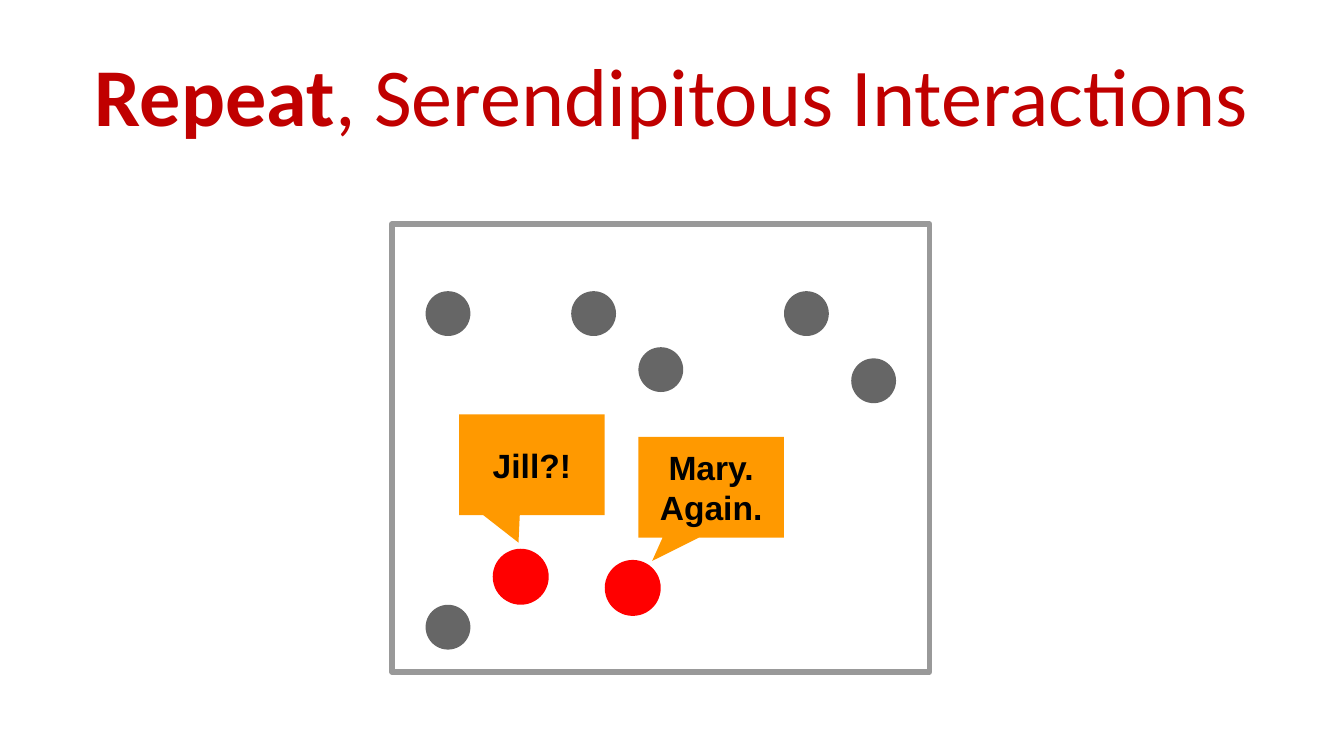
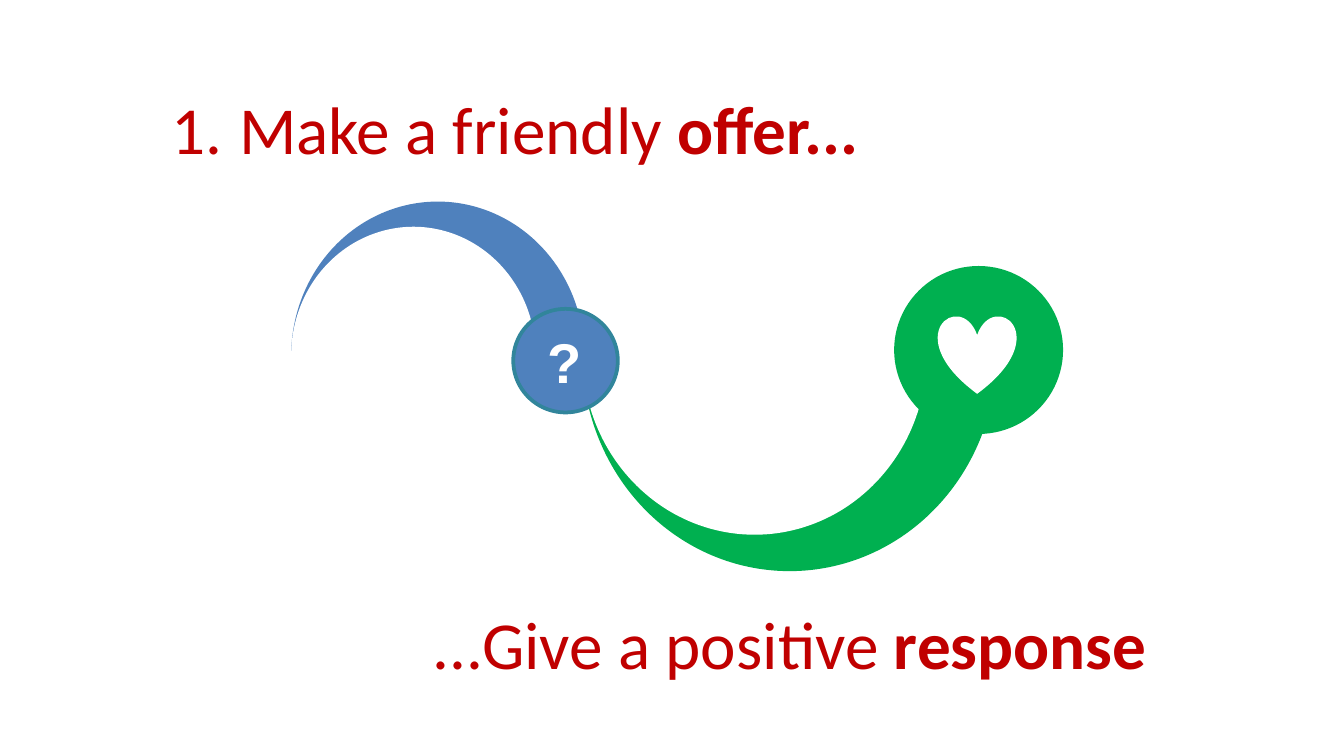
from dataclasses import dataclass

from pptx import Presentation
from pptx.dml.color import RGBColor
from pptx.enum.shapes import MSO_SHAPE
from pptx.enum.text import MSO_ANCHOR, MSO_AUTO_SIZE, PP_ALIGN
from pptx.oxml.ns import qn
from pptx.util import Pt
from lxml import etree

RECT, OVAL, HEART = MSO_SHAPE.RECTANGLE, MSO_SHAPE.OVAL, MSO_SHAPE.HEART
CALLOUT = MSO_SHAPE.ROUNDED_RECTANGULAR_CALLOUT
CENTER, LEFT = PP_ALIGN.CENTER, PP_ALIGN.LEFT
MIDDLE, NO_FIT = MSO_ANCHOR.MIDDLE, MSO_AUTO_SIZE.NONE

TITLE_RED = RGBColor(0xC0, 0x00, 0x00)
FRAME_GRAY = RGBColor(0x99, 0x99, 0x99)
DOT_GRAY = RGBColor(0x66, 0x66, 0x66)
RED = RGBColor(0xFF, 0x00, 0x00)
ORANGE = RGBColor(0xFF, 0x99, 0x00)
BLUE = RGBColor(0x4F, 0x81, 0xBD)
TEAL = RGBColor(0x31, 0x85, 0x9B)
GREEN = RGBColor(0x00, 0xB0, 0x50)
WHITE = RGBColor(0xFF, 0xFF, 0xFF)
BLACK = RGBColor(0x00, 0x00, 0x00)

HEADING_FONT, LABEL_FONT = "Calibri", "Arial"
INSET = 7.2


@dataclass(frozen=True)
class Box:
    left: float
    top: float
    width: float
    height: float

    def lengths(self) -> list:
        return [Pt(v) for v in (self.left, self.top, self.width, self.height)]


@dataclass(frozen=True)
class Figure:
    kind: int
    box: Box
    fill: RGBColor | None = None
    line: RGBColor | None = None
    line_width: float = 0


@dataclass(frozen=True)
class Callout:
    text: str
    left: float
    top: float
    tip: tuple[float, float]


def format_frame(tf, inset_y: float) -> None:
    """Give a text frame the shared margins and anchor."""
    values = {"word_wrap": True, "auto_size": NO_FIT, "vertical_anchor": MIDDLE,
              "margin_left": Pt(INSET), "margin_right": Pt(INSET),
              "margin_top": Pt(inset_y), "margin_bottom": Pt(inset_y)}
    for name, value in values.items():
        setattr(tf, name, value)


def add_run(p, text: str, font: str, size: float, color: RGBColor, bold: bool) -> None:
    r = p.add_run()
    r.text = text
    for name, value in {"name": font, "size": Pt(size), "bold": bold}.items():
        setattr(r.font, name, value)
    r.font.color.rgb = color


def add_label(s, text: str, size: float, color: RGBColor, align: int) -> None:
    format_frame(s.text_frame, INSET)
    p = s.text_frame.paragraphs[0]
    p.alignment = align
    add_run(p, text, LABEL_FONT, size, color, True)


def add_figure(slide, fig: Figure):
    s = slide.shapes.add_shape(fig.kind, *fig.box.lengths())
    s.shadow.inherit = False
    if fig.fill is None:
        s.fill.background()
    else:
        s.fill.solid()
        s.fill.fore_color.rgb = fig.fill
    if fig.line is None:
        s.line.fill.background()
    else:
        s.line.color.rgb = fig.line
        s.line.width = Pt(fig.line_width)
        etree.SubElement(s.line._get_or_add_ln(), qn("a:round"))
    return s


def number_paragraph(p) -> None:
    """Number a paragraph with a red hanging numeral."""
    pPr = p._p.get_or_add_pPr()
    pPr.set("marL", str(Pt(36)))
    pPr.set("indent", str(-Pt(36)))
    clr = etree.SubElement(pPr, qn("a:buClr"))
    etree.SubElement(clr, qn("a:srgbClr"), val=str(TITLE_RED))
    etree.SubElement(pPr, qn("a:buFont"), typeface=HEADING_FONT)
    etree.SubElement(pPr, qn("a:buAutoNum"), type="arabicPeriod")


def set_heading(slide, ph, box: Box, runs: list[tuple[str, bool]], size: float,
                inset_y: float, numbered: bool = False) -> None:
    """Place and fill a heading placeholder in front of the drawing."""
    ph.left, ph.top, ph.width, ph.height = box.lengths()
    format_frame(ph.text_frame, inset_y)
    p = ph.text_frame.paragraphs[0]
    p.alignment = CENTER
    p.space_before = Pt(0)
    if numbered:
        number_paragraph(p)
    for text, bold in runs:
        add_run(p, text, HEADING_FONT, size, TITLE_RED, bold)
    slide.shapes._spTree.append(ph._element)


# Room with people as dots
ROOM = Figure(RECT, Box(210, 120, 288, 240), None, FRAME_GRAY, 3)
STRANGERS = [(228, 156), (306, 156), (228, 324), (342, 186), (456, 192), (420, 156)]
FRIENDS = [(324, 300), (264, 294)]
CALLOUTS = [Callout("Mary. Again.", 342, 234, (-0.405, 0.732)),
            Callout("Jill?!", 246, 222, (-0.092, 0.772))]


def build_interactions(prs) -> None:
    slide = prs.slides.add_slide(prs.slide_layouts[5])
    add_figure(slide, ROOM)
    for spots, size, color in ((STRANGERS, 24, DOT_GRAY), (FRIENDS, 30, RED)):
        for x, y in spots:
            add_figure(slide, Figure(OVAL, Box(x, y, size, size), color))
    for c in CALLOUTS:
        s = add_figure(slide, Figure(CALLOUT, Box(c.left, c.top, 78, 54), ORANGE))
        for i, value in enumerate((*c.tip, 0)):
            s.adjustments[i] = value
        add_label(s, c.text, 18, BLACK, CENTER)
    set_heading(slide, slide.shapes.title, Box(36, 16.5, 648, 67.5),
                [("Repeat", True), (", Serendipitous Interactions", False)], 44, INSET)


# Each swoosh is a disc with a white half and a smaller white disc over it
SWOOSHES = [
    Figure(OVAL, Box(156, 108, 157, 165), BLUE),
    Figure(RECT, Box(156, 190, 157, 96.5), WHITE),
    Figure(OVAL, Box(156, 121.5, 131, 137.5), WHITE),
    Figure(OVAL, Box(312, 73.5, 222, 232.5), GREEN),
    Figure(RECT, Box(312, 54, 222, 135.5), WHITE),
    Figure(OVAL, Box(312, 93, 184.5, 193.5), WHITE),
]
BADGES = [
    Figure(OVAL, Box(275, 165.5, 56, 55.5), BLUE, TEAL, 2),
    Figure(OVAL, Box(479, 142.5, 90.5, 90), GREEN),
    Figure(HEART, Box(502.5, 169, 42, 42), WHITE),
]


def build_offer(prs) -> None:
    slide = prs.slides.add_slide(prs.slide_layouts[0])
    for fig in SWOOSHES + BADGES:
        add_figure(slide, fig)
    question = slide.shapes.add_textbox(*Box(286, 160.5, 48, 65.5).lengths())
    add_label(question, "?", 30, WHITE, LEFT)
    set_heading(slide, slide.shapes.title, Box(66, 34.5, 420, 67.5),
                [("Make a friendly", False), (" offer...", True)], 36, INSET / 2, True)
    set_heading(slide, slide.placeholders[1], Box(222, 310.5, 402, 67.5),
                [("...Give a positive ", False), ("response", True)], 36, INSET / 2)


def main() -> None:
    prs = Presentation()
    prs.slide_width, prs.slide_height = Pt(720), Pt(405)
    build_interactions(prs)
    build_offer(prs)
    prs.save("out.pptx")


if __name__ == "__main__":
    main()
